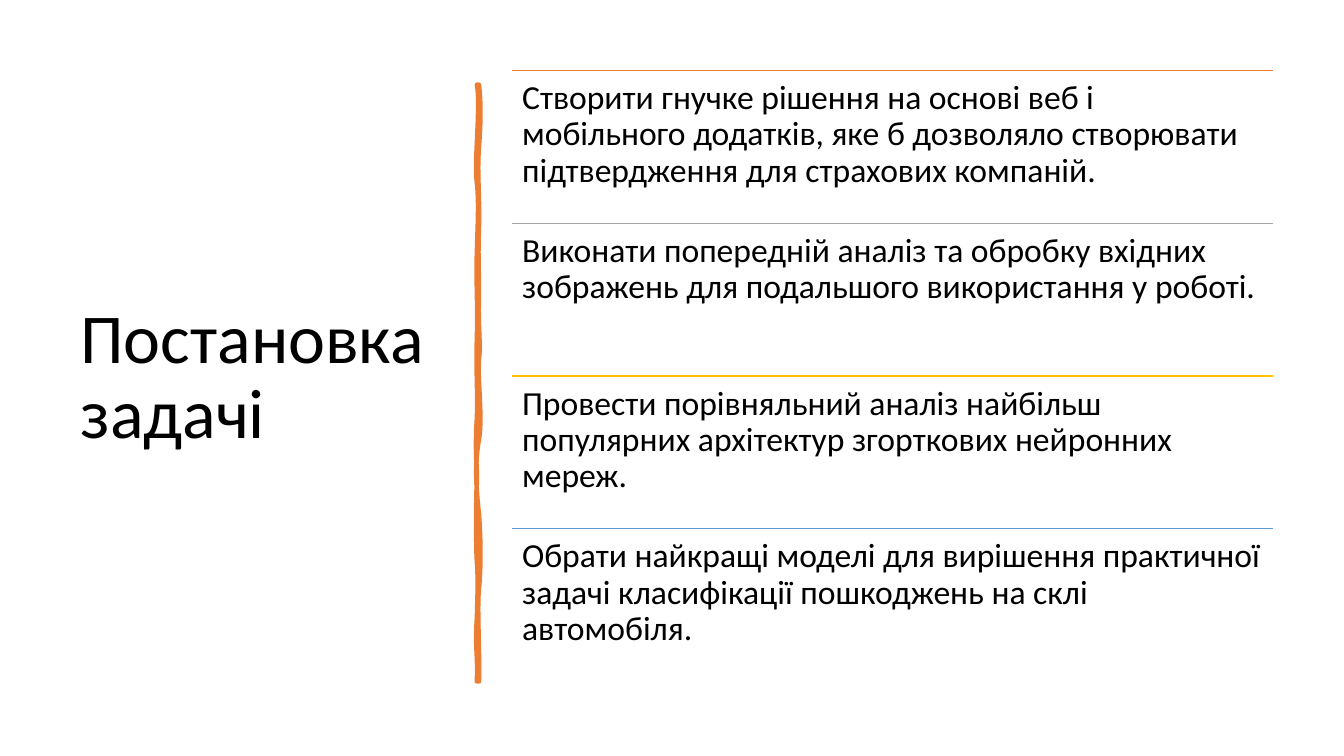
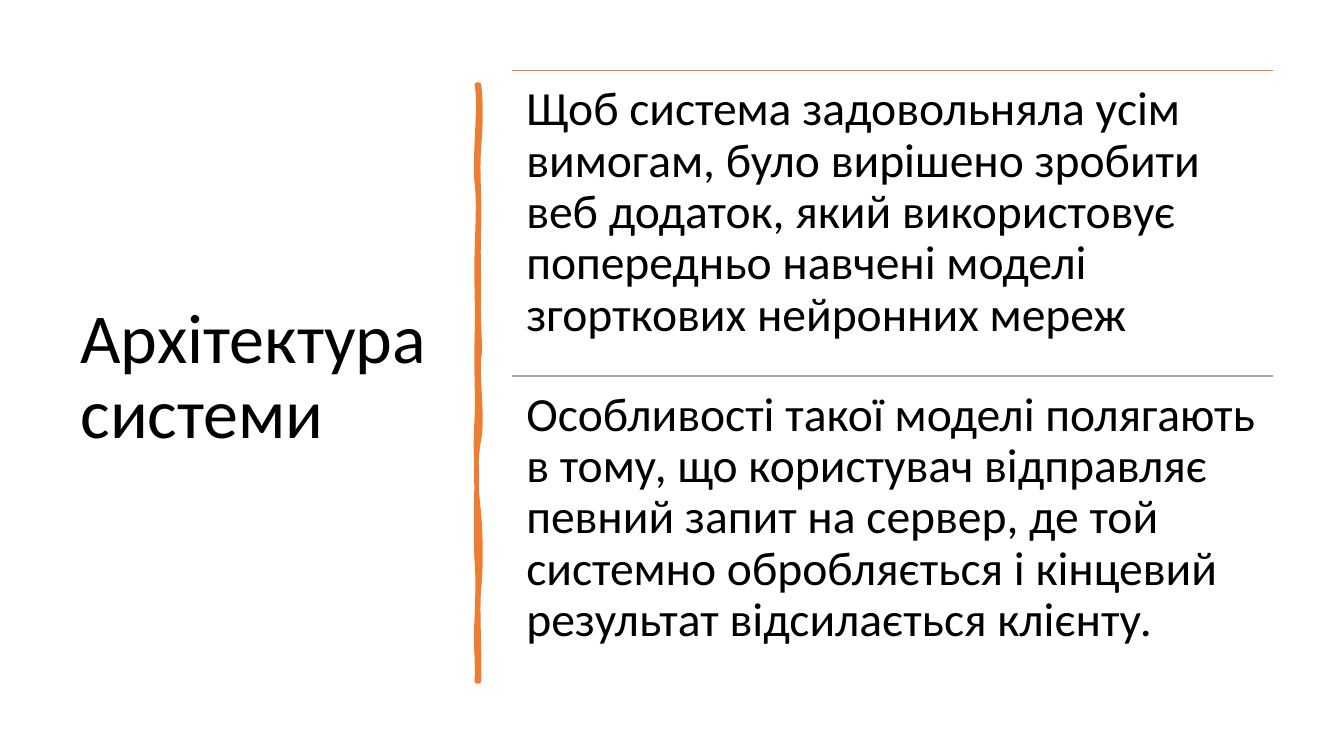
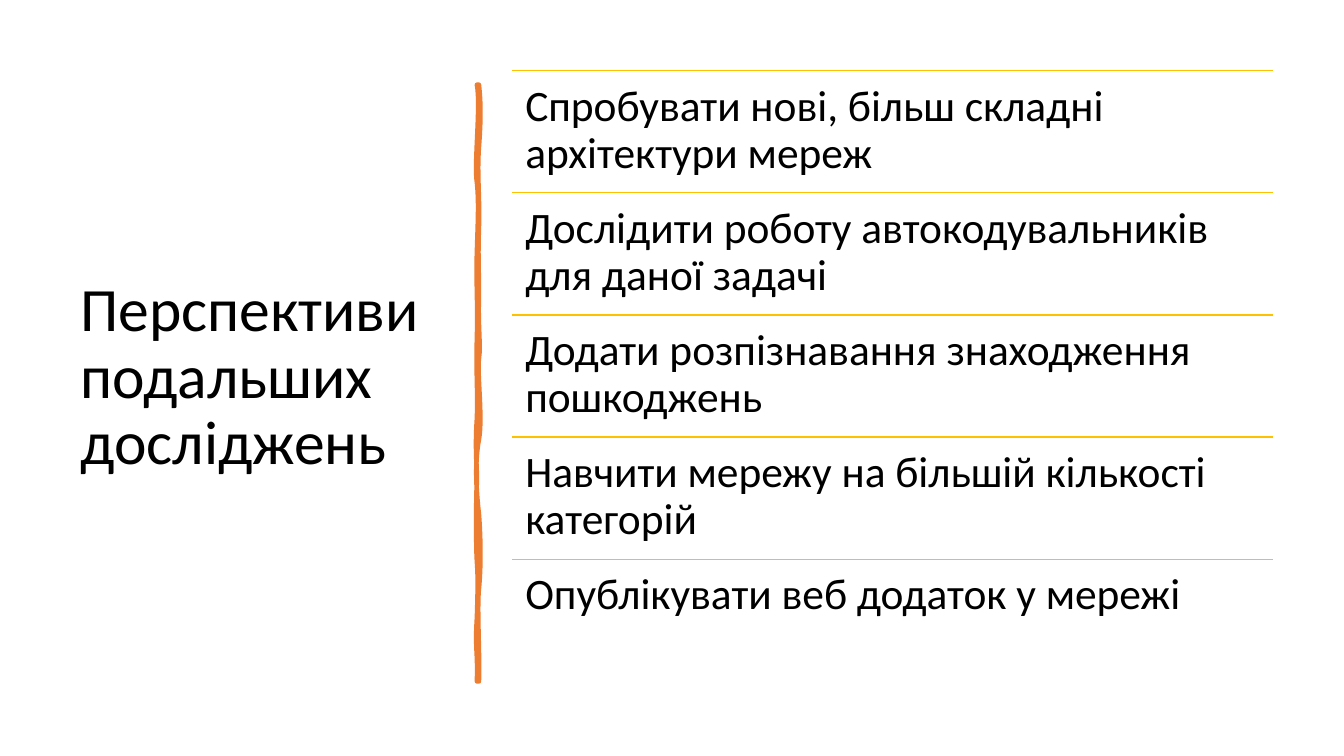
from lxml import etree
from pptx import Presentation
from pptx.dml.color import RGBColor
from pptx.enum.shapes import MSO_CONNECTOR
from pptx.enum.text import MSO_ANCHOR
from pptx.oxml.ns import qn
from pptx.util import Inches, Pt

COLORS = {"text": "000000", "orange": "ED7D31", "gray": "A5A5A5",
          "gold": "FFC000", "blue": "5B9BD5"}
FONT = "Calibri"

# Boxes: left, top, width, height in inches
TITLE_BOX = (0.7, 0.7, 3.74, 6.11)
ROWS_BOX = (5.08, 0.7, 7.55, 6.06)
BRUSH_AXIS = (4.74, 0.84)

# Cubic curves (two controls, end) in hundredths of an inch from BRUSH_AXIS
BRUSH_START = (1, 0)
BRUSH_CURVES = [
    (3, 18, 3, 35, 1, 62), (-1, 89, 2, 111, 1, 142),
    (0, 173, 1, 178, 1, 210), (0, 241, 3, 258, 1, 272),
    (-1, 286, 5, 330, 1, 352), (-3, 373, -2, 400, 1, 426),
    (3, 452, 3, 480, 1, 500), (-1, 519, 2, 566, 1, 592),
    (0, 592, -1, 592, -1, 592), (0, 562, -3, 560, -1, 529),
    (0, 499, 0, 486, -1, 473), (-2, 460, -2, 411, -1, 393),
    (-1, 375, -3, 361, -1, 331), (0, 302, -2, 289, -1, 251),
    (0, 214, -2, 197, -1, 166), (0, 134, 1, 116, -1, 97),
    (-4, 79, 3, 20, -1, 0),
]

SLIDES = [
    {"title": "Постановка задачі", "title_size": 50, "size": 24, "inset": 0.1,
     "rows": [
         ("orange", "Створити гнучке рішення на основі веб і мобільного додатків, "
                    "яке б дозволяло створювати підтвердження для страхових компаній."),
         ("gray", "Виконати попередній аналіз та обробку вхідних зображень "
                  "для подальшого використання у роботі."),
         ("gold", "Провести порівняльний аналіз найбільш популярних архітектур "
                  "згорткових нейронних мереж."),
         ("blue", "Обрати найкращі моделі для вирішення практичної задачі "
                  "класифікації пошкоджень на склі автомобіля."),
     ]},
    {"title": "Архітектура системи", "title_size": 50, "size": 34, "inset": 0.14,
     "rows": [
         ("orange", "Щоб система задовольняла усім вимогам, було вирішено зробити "
                    "веб додаток, який використовує попередньо навчені моделі "
                    "згорткових нейронних мереж"),
         ("gray", "Особливості такої моделі полягають в тому, що користувач "
                  "відправляє певний запит на сервер, де той системно обробляється "
                  "і кінцевий результат відсилається клієнту."),
     ]},
    {"title": "Перспективи подальших досліджень", "title_size": 44, "size": 31,
     "inset": 0.13,
     "rows": [
         ("gold", "Спробувати нові, більш складні архітектури мереж"),
         ("gold", "Дослідити роботу автокодувальників для даної задачі"),
         ("gold", "Додати розпізнавання знаходження пошкоджень"),
         ("gold", "Навчити мережу на більшій кількості категорій"),
         ("gold", "Опублікувати веб додаток у мережі"),
     ]},
]


def rgb(name):
    return RGBColor.from_string(COLORS[name])


def add_text(slide, box, text, size, inset_x, inset_y, anchor):
    tf = slide.shapes.add_textbox(*map(Inches, box)).text_frame
    tf.word_wrap = True
    tf.vertical_anchor = anchor
    tf.margin_left = tf.margin_right = Inches(inset_x)
    tf.margin_top = tf.margin_bottom = Inches(inset_y)
    p = tf.paragraphs[0]
    p.text = text
    p.line_spacing = 0.9
    p.font.name = FONT
    p.font.size = Pt(size)
    p.font.color.rgb = rgb("text")


def add_rule(slide, x, y, width, color):
    line = slide.shapes.add_connector(
        MSO_CONNECTOR.STRAIGHT, Inches(x), Inches(y), Inches(x + width), Inches(y))
    line.line.color.rgb = rgb(color)
    line.line.width = Pt(1)
    etree.SubElement(line._element.spPr, qn("a:effectLst"))


def bend_segments(sp, curves):
    """Turn the straight segments of a freeform into cubic curves.

    Each curve is three (x, y) points on the slide, in EMU.
    """
    segments = list(sp._element.iter(qn("a:lnTo")))
    for segment, points in zip(segments, curves):
        segment.tag = qn("a:cubicBezTo")
        for pt in list(segment):
            segment.remove(pt)
        for x, y in points:
            etree.SubElement(segment, qn("a:pt"),
                             x=str(x - sp.left), y=str(y - sp.top))


def add_brush_line(slide, axis, top):
    def place(x, y):
        return Inches(axis + x / 100), Inches(top + y / 100)

    curves = [[place(*c[i:i + 2]) for i in (0, 2, 4)] for c in BRUSH_CURVES]
    builder = slide.shapes.build_freeform(*place(*BRUSH_START))
    builder.add_line_segments([curve[-1] for curve in curves], close=True)
    sp = builder.convert_to_shape()
    bend_segments(sp, curves)
    sp.shadow.inherit = False
    sp.fill.solid()
    sp.fill.fore_color.rgb = rgb("orange")
    sp.line.color.rgb = rgb("orange")
    sp.line.width = Pt(3.25)
    etree.SubElement(sp.line._get_or_add_ln(), qn("a:round"))


def add_rows(slide, box, rows, size, inset):
    """Split the box into equal rows, each a rule with text below it."""
    left, top, width, height = box
    row_height = height / len(rows)
    for i, (color, text) in enumerate(rows):
        y = top + i * row_height
        add_rule(slide, left, y, width, color)
        add_text(slide, (left, y, width, row_height), text, size,
                 inset, inset, MSO_ANCHOR.TOP)


def add_list_slide(prs, content):
    slide = prs.slides.add_slide(prs.slide_layouts[6])
    add_text(slide, TITLE_BOX, content["title"], content["title_size"],
             0.1, 0.05, MSO_ANCHOR.MIDDLE)
    add_brush_line(slide, *BRUSH_AXIS)
    add_rows(slide, ROWS_BOX, content["rows"], content["size"], content["inset"])


def main():
    prs = Presentation()
    prs.slide_width, prs.slide_height = Inches(13.33), Inches(7.5)
    for content in SLIDES:
        add_list_slide(prs, content)
    prs.save("out.pptx")


if __name__ == "__main__":
    main()
